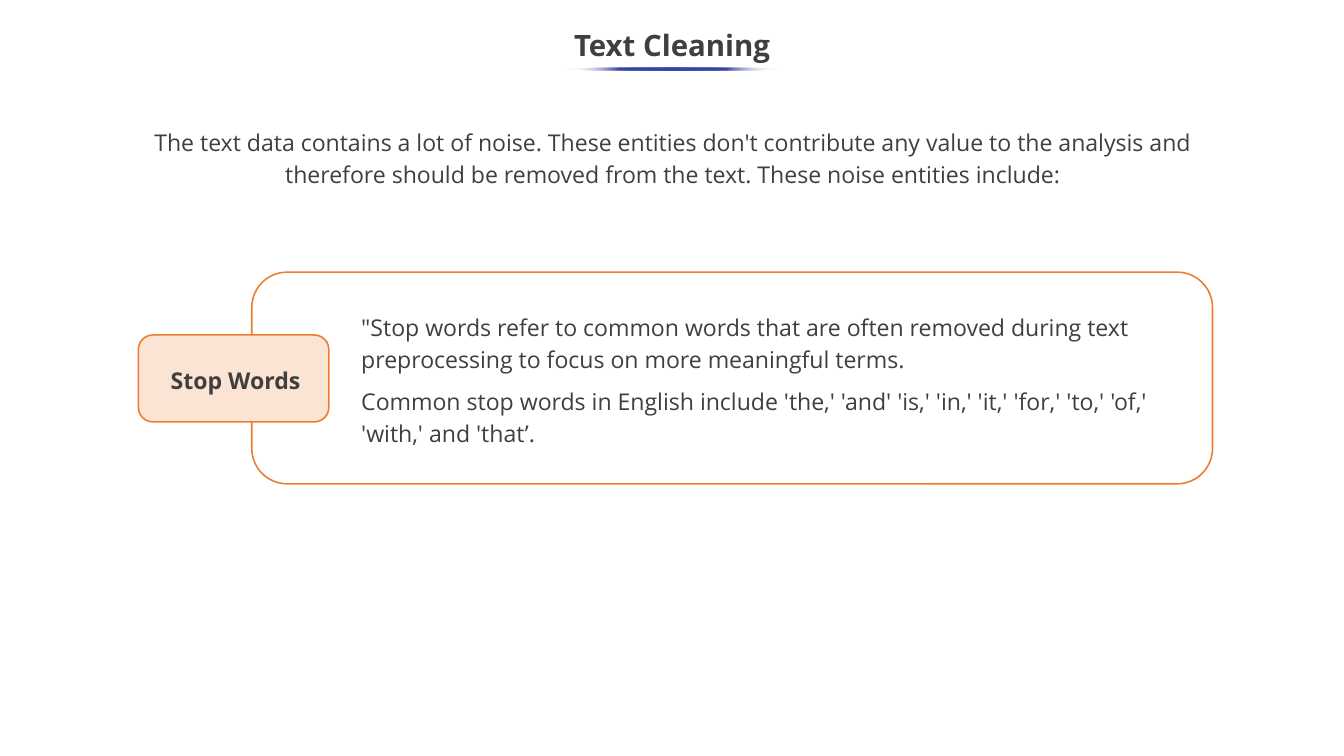
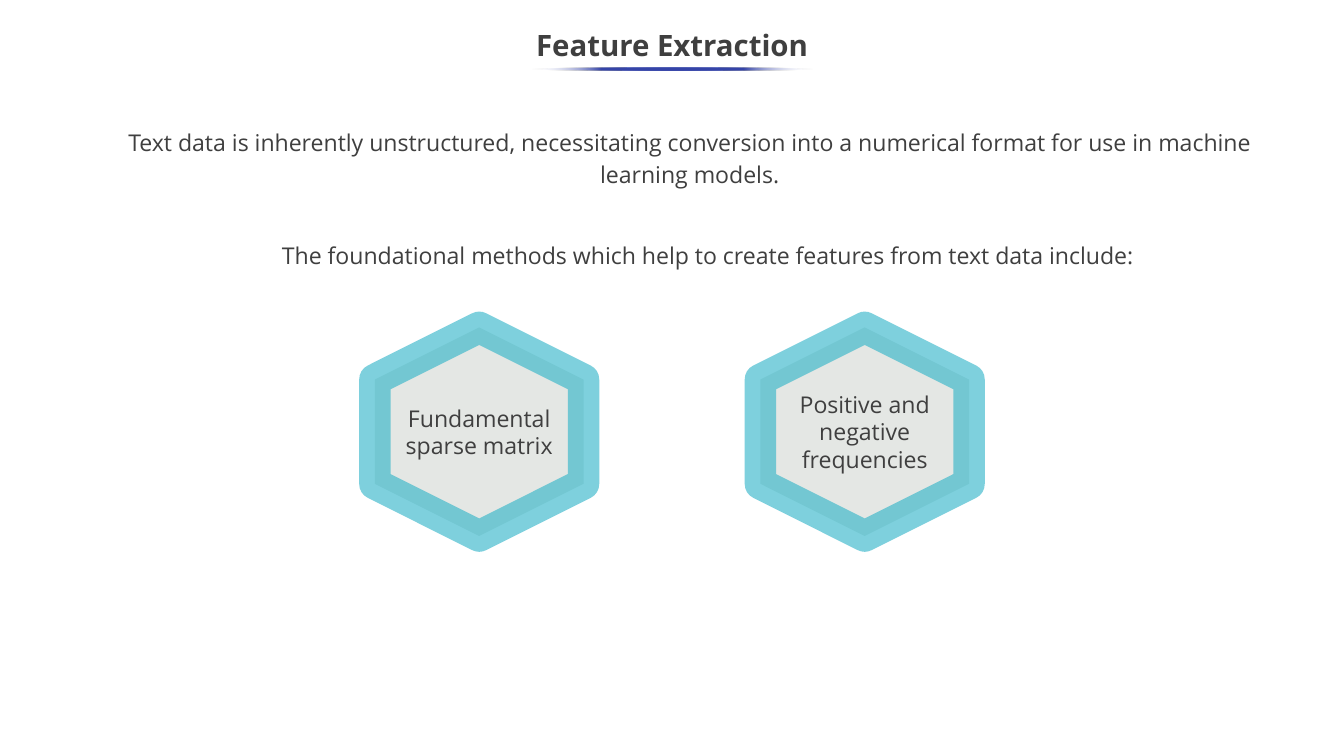
from lxml import etree
from pptx import Presentation
from pptx.dml.color import RGBColor
from pptx.enum.shapes import MSO_SHAPE as Shape
from pptx.enum.text import MSO_ANCHOR as Anchor, PP_ALIGN as Align
from pptx.oxml.ns import qn
from pptx.util import Pt

FONT = "Open Sans"
INK, WHITE, ORANGE, PEACH = "3F3F3F", "FFFFFF", "ED7D31", "FBE4D4"
INDIGO, TEAL, SAGE = "3645A9", "28B2C7", "5A6E5A"
SLIDE_WIDTH, SLIDE_HEIGHT = 1280.16, 720
BODY_SPACING = 1.14


def color(hex_string):
    return RGBColor.from_string(hex_string)


def add_text(slide, box, paragraphs, align=Align.CENTER, size=22, bold=False,
             spacing=1.0, anchor=Anchor.TOP, inset=3.6):
    """Add a text box; box is left, top, width, height in points."""
    frame = slide.shapes.add_textbox(*map(Pt, box)).text_frame
    frame.word_wrap = True
    frame.vertical_anchor = anchor
    frame.margin_top = frame.margin_bottom = Pt(inset)
    for index, text in enumerate(paragraphs):
        paragraph = frame.add_paragraph() if index else frame.paragraphs[0]
        paragraph.alignment = align
        paragraph.line_spacing = spacing
        if index:
            paragraph.space_before = Pt(10)
        run = paragraph.add_run()
        run.text = text
        run.font.name = FONT
        run.font.size = Pt(size)
        run.font.bold = bold
        run.font.color.rgb = color(INK)


presentation = Presentation()
presentation.slide_width = Pt(SLIDE_WIDTH)
presentation.slide_height = Pt(SLIDE_HEIGHT)

# Shared frame: title, fading underline and introduction
slides = []
for title, underline_width, intro_box, intro in [
    ("Text Cleaning", 201.6, (101.5, 118.8, 1078.6, 71.3),
     "The text data contains a lot of noise. These entities don't contribute any value "
     "to the analysis and therefore should be removed from the text. "
     "These noise entities include:"),
    ("Feature Extraction", 268.6, (113, 118.8, 1088, 82.8),
     "Text data is inherently unstructured, necessitating conversion into a numerical "
     "format for use in machine learning models."),
]:
    slide = presentation.slides.add_slide(presentation.slide_layouts[6])
    slides.append(slide)
    add_text(slide, (0, 18, SLIDE_WIDTH, 54), [title], size=28, bold=True,
             spacing=0.9, anchor=Anchor.MIDDLE)
    add_text(slide, intro_box, [intro], spacing=BODY_SPACING, inset=0)

    underline = slide.shapes.add_shape(
        Shape.OVAL, Pt((SLIDE_WIDTH - underline_width) / 2 + 0.7), Pt(64),
        Pt(underline_width), Pt(3))
    underline.shadow.inherit = False
    underline.line.fill.background()
    underline.fill.gradient()
    underline.fill.gradient_angle = 180
    stops = underline.element.spPr.find(qn("a:gradFill")).find(qn("a:gsLst"))
    for stop in list(stops):
        stops.remove(stop)
    for percent in range(0, 101, 25):
        at_end = percent in (0, 100)
        stop = etree.SubElement(stops, qn("a:gs"), pos=str(percent * 1000))
        stop_color = etree.SubElement(stop, qn("a:srgbClr"), val=WHITE if at_end else INDIGO)
        if at_end:
            etree.SubElement(stop_color, qn("a:alpha"), val="0")

cleaning, extraction = slides

# Text cleaning: definition panel with an overlapping label
for box, fill in [((239.8, 259.2, 915.1, 201.6), WHITE),
                  ((131.8, 319, 181.4, 82.8), PEACH)]:
    panel = cleaning.shapes.add_shape(Shape.ROUNDED_RECTANGLE, *map(Pt, box))
    panel.shadow.inherit = False
    panel.fill.solid()
    panel.fill.fore_color.rgb = color(fill)
    panel.line.color.rgb = color(ORANGE)
    panel.line.width = Pt(1.5)
add_text(cleaning, (155.5, 342, 145, 36), ["Stop Words"], align=Align.LEFT,
         bold=True, spacing=BODY_SPACING)
add_text(cleaning, (337, 291.6, 825.8, 136.8), [
    "\"Stop words refer to common words that are often removed during text "
    "preprocessing to focus on more meaningful terms.",
    "Common stop words in English include 'the,' 'and' 'is,' 'in,' 'it,' 'for,' "
    "'to,' 'of,' 'with,' and 'that’.",
], align=Align.LEFT, spacing=BODY_SPACING)

# Feature extraction: one hexagon per method
add_text(extraction, (246.2, 226.8, 856, 34),
         ["The foundational methods which help to create features from text data include:"])
HEXAGON_SIZE, HEXAGON_TOP, HEXAGON_PITCH = 198.7, 311.8, 367.2
LABEL_WIDTH = 170
for index, method in enumerate(["Fundamental sparse matrix",
                                "Positive and negative frequencies"]):
    left = 357.1 + index * HEXAGON_PITCH
    hexagon = extraction.shapes.add_shape(
        Shape.HEXAGON, Pt(left), Pt(HEXAGON_TOP), Pt(HEXAGON_SIZE), Pt(HEXAGON_SIZE))
    hexagon.rotation = 90
    hexagon.shadow.inherit = False
    hexagon.fill.solid()
    hexagon.fill.fore_color.rgb = color(SAGE)
    hexagon.line.color.rgb = color(TEAL)
    hexagon.line.width = Pt(30)
    fill_color, line_color = hexagon.element.spPr.iter(qn("a:srgbClr"))
    etree.SubElement(fill_color, qn("a:alpha"), val="16000")
    etree.SubElement(line_color, qn("a:alpha"), val="60000")
    add_text(extraction, (left + (HEXAGON_SIZE - LABEL_WIDTH) / 2, HEXAGON_TOP,
                          LABEL_WIDTH, HEXAGON_SIZE), [method], anchor=Anchor.MIDDLE)

presentation.save("out.pptx")
